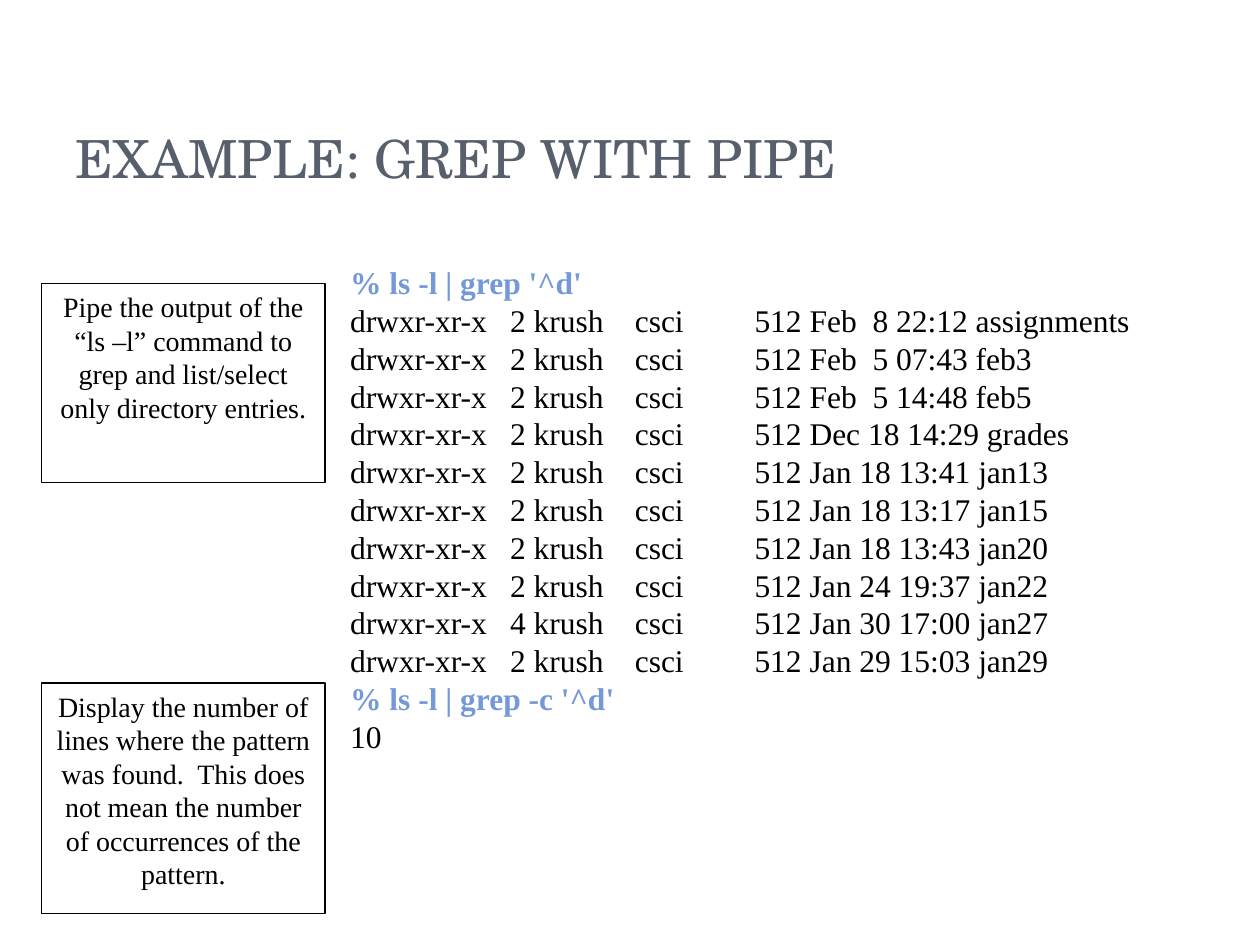
from pptx import Presentation
from pptx.dml.color import RGBColor
from pptx.enum.shapes import MSO_SHAPE
from pptx.enum.text import MSO_ANCHOR, PP_ALIGN
from pptx.oxml.ns import qn
from pptx.util import Inches, Pt
from lxml import etree

CALLOUT = MSO_SHAPE.RECTANGULAR_CALLOUT
TOP, BOTTOM = MSO_ANCHOR.TOP, MSO_ANCHOR.BOTTOM
LEFT, CENTER = PP_ALIGN.LEFT, PP_ALIGN.CENTER

COLORS = {"title": "575F6D", "command": "7598D9", "text": "000000"}
SERIF = "Times New Roman"
COLUMNS = (1.27, 2.26, 3.21)

ENTRIES = [
    (2, "Feb  8 22:12 assignments"),
    (2, "Feb  5 07:43 feb3"),
    (2, "Feb  5 14:48 feb5"),
    (2, "Dec 18 14:29 grades"),
    (2, "Jan 18 13:41 jan13"),
    (2, "Jan 18 13:17 jan15"),
    (2, "Jan 18 13:43 jan20"),
    (2, "Jan 24 19:37 jan22"),
    (4, "Jan 30 17:00 jan27"),
    (2, "Jan 29 15:03 jan29"),
]

CALLOUTS = [
    (2.25, 1.58, (-0.5, 0.25),
     "Pipe the output of the “ls –l” command to grep and list/select "
     "only directory entries."),
    (5.42, 1.83, (-0.19, 0.5),
     "Display the number of lines where the pattern was found.  This does "
     "not mean the number of occurrences of the pattern."),
]


def rgb(name):
    return RGBColor.from_string(COLORS[name])


def write(p, text, size=18, font=SERIF, color="text", bold=False, align=LEFT):
    p.alignment = align
    r = p.add_run()
    r.text = text
    r.font.size = Pt(size)
    r.font.name = font
    r.font.bold = bold
    r.font.color.rgb = rgb(color)


def set_tabs(p, stops):
    tabs = etree.SubElement(p._p.get_or_add_pPr(), qn("a:tabLst"))
    for stop in stops:
        etree.SubElement(tabs, qn("a:tab"), pos=str(Inches(stop)), algn="l")


def add_text_box(s, x, y, w, h, anchor=TOP):
    tf = s.shapes.add_textbox(Inches(x), Inches(y), Inches(w), Inches(h)).text_frame
    tf.word_wrap = True
    tf.vertical_anchor = anchor
    return tf


def add_terminal(s):
    lines = [("% ls -l | grep '^d'", True)]
    lines += [(f"drwxr-xr-x\t{links} krush\tcsci\t512 {rest}", False)
              for links, rest in ENTRIES]
    lines += [("% ls -l | grep -c '^d'", True), (str(len(ENTRIES)), False)]
    tf = add_text_box(s, 2.68, 2.04, 6.41, 4.3)
    for i, (text, command) in enumerate(lines):
        p = tf.add_paragraph() if i else tf.paragraphs[0]
        if "\t" in text:
            set_tabs(p, COLUMNS)
        write(p, text, color="command" if command else "text", bold=command)


def add_callout(s, y, h, tip, text):
    sp = s.shapes.add_shape(CALLOUT, Inches(0.33), Inches(y), Inches(2.25), Inches(h))
    sp.shadow.inherit = False
    sp.adjustments[0], sp.adjustments[1] = tip
    sp.fill.background()
    sp.line.color.rgb = rgb("text")
    sp.line.width = Pt(0.75)
    tf = sp.text_frame
    tf.word_wrap = True
    tf.vertical_anchor = TOP
    write(tf.paragraphs[0], text, size=16, align=CENTER)


def main():
    prs = Presentation()
    prs.slide_width, prs.slide_height = Inches(10), Inches(7.5)
    s = prs.slides.add_slide(prs.slide_layouts[6])
    title = add_text_box(s, 0.5, 0.3, 8.17, 1.25, anchor=BOTTOM)
    write(title.paragraphs[0], "EXAMPLE: GREP WITH PIPE", size=30,
          font="TeX Gyre Schola", color="title")
    add_terminal(s)
    for callout in CALLOUTS:
        add_callout(s, *callout)
    prs.save("out.pptx")


if __name__ == "__main__":
    main()
